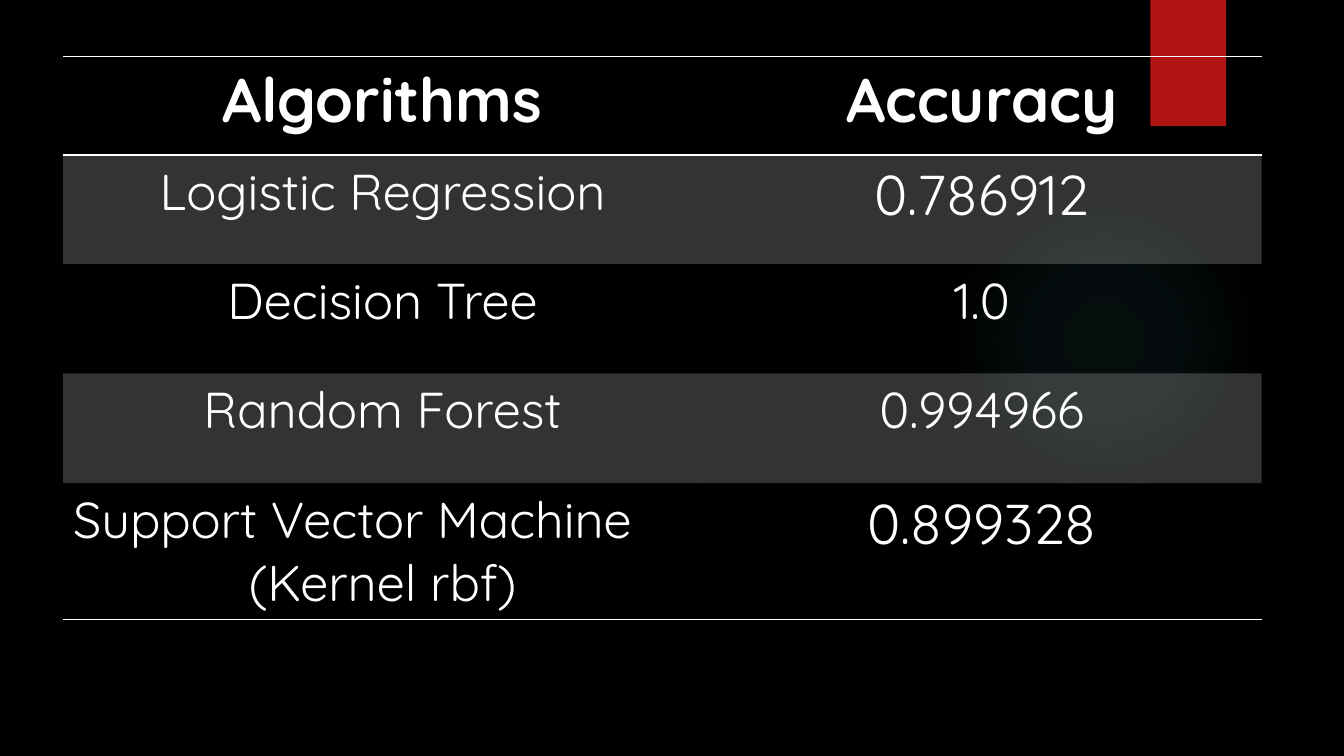
from pptx import Presentation, oxml
from pptx import util as u
from pptx.dml import color
from pptx.enum import shapes, text
from pptx.oxml import ns

COLORS = {"background": "000000", "text": "FFFFFF", "accent": "B01513", "glow": "50B9C1"}
FONT = "Quicksand"
NO_STYLE = "{2D5ABB26-0587-4C30-8999-92F81FD0307C}"
COLUMN_WIDTHS = [456.5, 399.6]
ROW_HEIGHTS = [70.5, 78, 78, 78.5, 96]
ROWS = [
    (["Algorithms"], 44, "Accuracy", 44),
    (["Logistic Regression"], 36, "0.786912", 40),
    (["Decision Tree"], 36, "1.0", 36),
    (["Random Forest"], 36, "0.994966", 36),
    (["Support Vector Machine", "(Kernel rbf)"], 36, "0.899328", 40),
]


def rgb(name):
    return color.RGBColor.from_string(COLORS[name])


def element(tag, attributes="", content=""):
    return oxml.parse_xml(f"<a:{tag} {ns.nsdecls('a')} {attributes}>{content}</a:{tag}>")


def add_plain_shape(s, kind, left, top, width, height):
    sp = s.shapes.add_shape(kind, u.Pt(left), u.Pt(top), u.Pt(width), u.Pt(height))
    sp.shadow.inherit = False
    sp.line.fill.background()
    return sp


def add_glow(s, left, top, size):
    sp = add_plain_shape(s, shapes.MSO_SHAPE.OVAL, left, top, size, size)
    sp.fill.background()
    stops = "".join(
        f'<a:gs pos="{pos * 1000}"><a:srgbClr val="{COLORS["glow"]}">'
        f'<a:alpha val="{alpha * 1000}"/></a:srgbClr></a:gs>'
        for pos, alpha in [(0, 7), (36, 6), (69, 0)]
    )
    gradient = element("gradFill", content=(
        f'<a:gsLst>{stops}</a:gsLst><a:path path="circle">'
        '<a:fillToRect l="50000" t="50000" r="50000" b="50000"/></a:path>'
    ))
    no_fill = sp.element.spPr.find(ns.qn("a:noFill"))
    no_fill.getparent().replace(no_fill, gradient)


def add_tab(s, left, top, width, height):
    sp = add_plain_shape(s, shapes.MSO_SHAPE.RECTANGLE, left, top, width, height)
    sp.fill.solid()
    sp.fill.fore_color.rgb = rgb("accent")


def add_border(cell, side):
    line_fill = f'<a:solidFill><a:srgbClr val="{COLORS["text"]}"/></a:solidFill>'
    cell._tc.get_or_add_tcPr().append(element(side, 'w="12700"', line_fill))


def fill_cell(cell, banded):
    if not banded:
        cell.fill.background()
        return
    cell.fill.solid()
    cell.fill.fore_color.rgb = rgb("text")
    tint = cell._tc.tcPr.find(f".//{ns.qn('a:srgbClr')}")
    tint.append(element("alpha", 'val="20000"'))


def write_cell(cell, lines, size, bold):
    tf = cell.text_frame
    for i, line in enumerate(lines):
        p = tf.paragraphs[0] if i == 0 else tf.add_paragraph()
        last = i == len(lines) - 1
        p.alignment = text.PP_ALIGN.CENTER if last else text.PP_ALIGN.LEFT
        r = p.add_run()
        r.text = line
        r.font.name = FONT
        r.font.size = u.Pt(size)
        r.font.bold = bold
        r.font.color.rgb = rgb("text")


def add_accuracy_table(s, left, top):
    frame = s.shapes.add_table(
        len(ROWS), len(COLUMN_WIDTHS), u.Pt(left), u.Pt(top),
        u.Pt(sum(COLUMN_WIDTHS)), u.Pt(sum(ROW_HEIGHTS)),
    )
    table = frame.table
    table.horz_banding = False
    table._tbl.tblPr.find(ns.qn("a:tableStyleId")).text = NO_STYLE
    for column, width in zip(table.columns, COLUMN_WIDTHS):
        column.width = u.Pt(width)
    for row, height in zip(table.rows, ROW_HEIGHTS):
        row.height = u.Pt(height)
    for i, (algorithm, name_size, accuracy, value_size) in enumerate(ROWS):
        for j, (lines, size) in enumerate([(algorithm, name_size), ([accuracy], value_size)]):
            cell = table.cell(i, j)
            write_cell(cell, lines, size, bold=i == 0)
            if i == 0:
                add_border(cell, "lnT")
            if i in (0, len(ROWS) - 1):
                add_border(cell, "lnB")
            fill_cell(cell, banded=i % 2 == 1)


def main():
    prs = Presentation()
    prs.slide_width, prs.slide_height = u.Pt(960), u.Pt(540)
    s = prs.slides.add_slide(prs.slide_layouts[6])
    s.background.fill.solid()
    s.background.fill.fore_color.rgb = rgb("background")
    add_glow(s, 677.5, 132, 222)
    add_tab(s, 821.75, 0, 54, 90)
    add_accuracy_table(s, 45, 40.2)
    prs.save("out.pptx")


if __name__ == "__main__":
    main()
